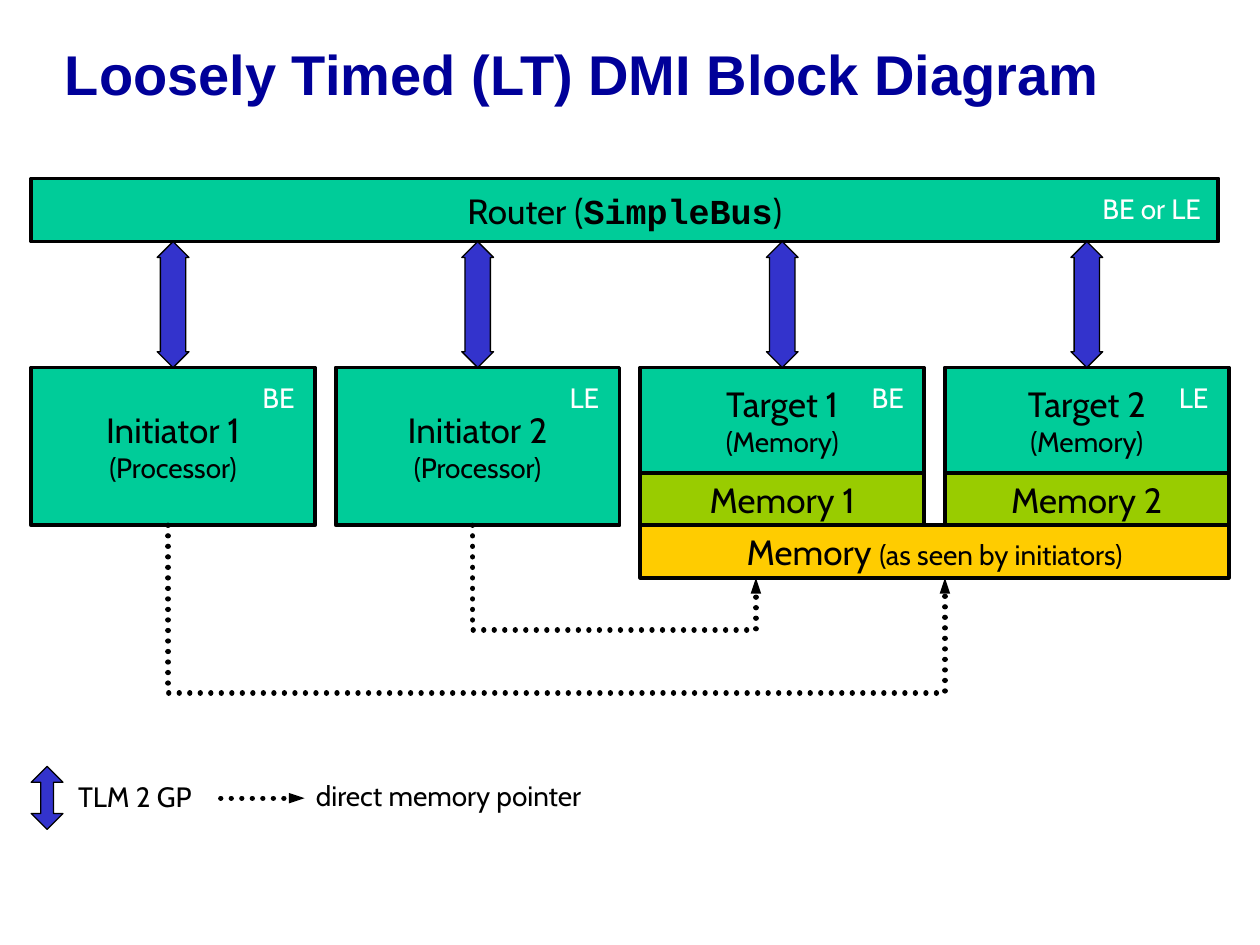
from lxml.etree import SubElement
from pptx import Presentation
from pptx.dml.color import RGBColor
from pptx.enum.dml import MSO_LINE
from pptx.enum.shapes import MSO_CONNECTOR, MSO_SHAPE
from pptx.enum.text import MSO_ANCHOR, MSO_AUTO_SIZE, PP_ALIGN
from pptx.oxml.ns import qn
from pptx.util import Cm, Pt

BLACK = RGBColor(0x00, 0x00, 0x00)
WHITE = RGBColor(0xFF, 0xFF, 0xFF)
NAVY = RGBColor(0x00, 0x00, 0x99)
BLUE = RGBColor(0x33, 0x33, 0xCC)
GREEN = RGBColor(0x00, 0xCC, 0x99)
LIME = RGBColor(0x99, 0xCC, 0x00)
AMBER = RGBColor(0xFF, 0xCC, 0x00)

BODY_FONT = "Cabin"
LARGE, SMALL = 20, 16

LEFT, PITCH, BLOCK_WIDTH = 0.63, 6.14, 5.72
ROUTER_TOP, ROUTER_WIDTH, ROUTER_HEIGHT = 3.6, 23.93, 1.27
BLOCK_TOP, INITIATOR_HEIGHT, TARGET_HEIGHT = 7.41, 3.18, 2.12
MEMORY_HEIGHT = INITIATOR_HEIGHT - TARGET_HEIGHT
SHARED_TOP = BLOCK_TOP + INITIATOR_HEIGHT
SHARED_BOTTOM = SHARED_TOP + MEMORY_HEIGHT
ARROW_WIDTH = 0.64


def write_text(shape, paragraphs, color=BLACK, align=PP_ALIGN.CENTER,
               anchor=MSO_ANCHOR.MIDDLE, wrap=False, spacing=None):
    """Fill a shape; each paragraph is a list of (text, size[, font, bold]) runs."""
    frame = shape.text_frame
    frame.word_wrap = wrap
    frame.vertical_anchor = anchor
    for index, runs in enumerate(paragraphs):
        paragraph = frame.add_paragraph() if index else frame.paragraphs[0]
        paragraph.alignment = align
        if spacing:
            paragraph.line_spacing = spacing
        for text, size, *face in runs:
            font_name, bold = face or (BODY_FONT, False)
            run = paragraph.add_run()
            run.text = text
            run.font.size = Pt(size)
            run.font.name = font_name
            run.font.bold = bold
            run.font.color.rgb = color


class Diagram:
    def __init__(self, slide):
        self.slide = slide
        self.shapes = slide.shapes

    def title(self, text):
        box = self.shapes.add_textbox(Cm(1.06), Cm(0), Cm(24.13), Cm(3.18))
        write_text(box, [[(text, 32, "Arial", True)]], color=NAVY,
                   align=PP_ALIGN.LEFT, wrap=True, spacing=0.85)

    def filled(self, preset, left, top, width, height, fill, line_width):
        shape = self.shapes.add_shape(preset, Cm(left), Cm(top), Cm(width), Cm(height))
        shape.shadow.inherit = False
        shape.fill.solid()
        shape.fill.fore_color.rgb = fill
        shape.line.color.rgb = BLACK
        shape.line.width = Pt(line_width)
        return shape

    def block(self, left, top, width, height, fill, paragraphs):
        shape = self.filled(MSO_SHAPE.RECTANGLE, left, top, width, height, fill, 2.25)
        write_text(shape, paragraphs)

    def bus_arrow(self, left, top, height, head):
        """Two-headed arrow; head is the head length relative to the width."""
        arrow = self.filled(MSO_SHAPE.UP_DOWN_ARROW, left, top, ARROW_WIDTH, height, BLUE, 0.75)
        arrow.adjustments[0] = 0.5
        arrow.adjustments[1] = head

    def label(self, text, left, top, width, color=BLACK, align=PP_ALIGN.LEFT):
        box = self.shapes.add_textbox(Cm(left), Cm(top), Cm(width), Cm(0.94))
        write_text(box, [[(text, SMALL)]], color=color, align=align, anchor=MSO_ANCHOR.TOP)
        box.text_frame.auto_size = MSO_AUTO_SIZE.SHAPE_TO_FIT_TEXT

    def endianness(self, text, right, top, width):
        self.label(text, right - width, top, width, color=WHITE, align=PP_ALIGN.RIGHT)

    def dotted(self, shape):
        """Give a line round dots and an arrowhead at its end."""
        shape.line.color.rgb = BLACK
        shape.line.width = Pt(3)
        shape.line.dash_style = MSO_LINE.ROUND_DOT
        line = shape.line._get_or_add_ln()
        line.set("cap", "rnd")
        SubElement(line, qn("a:round"))
        SubElement(line, qn("a:tailEnd"), type="triangle", w="sm", len="med")

    def memory_pointer(self, start_x, low_y, end_x):
        builder = self.shapes.build_freeform(Cm(start_x), Cm(SHARED_TOP))
        corners = [(start_x, low_y), (end_x, low_y), (end_x, SHARED_BOTTOM)]
        builder.add_line_segments([(Cm(x), Cm(y)) for x, y in corners], close=False)
        pointer = builder.convert_to_shape()
        pointer.shadow.inherit = False
        pointer.fill.background()
        self.dotted(pointer)

    def legend_pointer(self, start_x, end_x, y):
        pointer = self.shapes.add_connector(
            MSO_CONNECTOR.STRAIGHT, Cm(start_x), Cm(y), Cm(end_x), Cm(y))
        self.dotted(pointer)
        SubElement(pointer._element.spPr, qn("a:effectLst"))


def main():
    presentation = Presentation()
    presentation.slide_width, presentation.slide_height = Cm(25.4), Cm(19.05)
    diagram = Diagram(presentation.slides.add_slide(presentation.slide_layouts[6]))

    diagram.title("Loosely Timed (LT) DMI Block Diagram")
    diagram.block(LEFT, ROUTER_TOP, ROUTER_WIDTH, ROUTER_HEIGHT, GREEN,
                  [[("Router (", LARGE), ("SimpleBus", LARGE, "Courier New", True), (")", LARGE)]])
    diagram.endianness("BE or LE", 24.46, 3.73, 2.67)

    columns = [
        ("Initiator 1", "(Processor)", "BE", 1.17, None),
        ("Initiator 2", "(Processor)", "LE", 1.12, None),
        ("Target 1", "(Memory)", "BE", 1.17, "Memory 1"),
        ("Target 2", "(Memory)", "LE", 1.12, "Memory 2"),
    ]
    router_bottom = ROUTER_TOP + ROUTER_HEIGHT
    for index, (name, role, endian, endian_width, memory) in enumerate(columns):
        left = LEFT + index * PITCH
        height = TARGET_HEIGHT if memory else INITIATOR_HEIGHT
        diagram.block(left, BLOCK_TOP, BLOCK_WIDTH, height, GREEN,
                      [[(name, LARGE)], [(role, SMALL)]])
        if memory:
            diagram.block(left, BLOCK_TOP + TARGET_HEIGHT, BLOCK_WIDTH, MEMORY_HEIGHT, LIME,
                          [[(memory, LARGE)]])
        diagram.bus_arrow(left + (BLOCK_WIDTH - ARROW_WIDTH) / 2, router_bottom,
                          BLOCK_TOP - router_bottom, 0.8)
        diagram.endianness(endian, left + BLOCK_WIDTH - 0.16, 7.54, endian_width)

    diagram.block(LEFT + 2 * PITCH, SHARED_TOP, PITCH + BLOCK_WIDTH, MEMORY_HEIGHT, AMBER,
                  [[("Memory ", LARGE), ("(as seen by initiators)", SMALL)]])
    diagram.memory_pointer(9.53, 12.7, 15.24)
    diagram.memory_pointer(3.39, 13.97, 19.05)

    diagram.bus_arrow(LEFT, 15.45, 1.27, 0.4)
    diagram.label("TLM 2 GP", 1.22, 15.6, 3, align=PP_ALIGN.CENTER)
    diagram.legend_pointer(4.45, 6.14, 16.09)
    diagram.label("direct memory pointer", 6.12, 15.58, 6.48)

    presentation.save("out.pptx")


if __name__ == "__main__":
    main()
